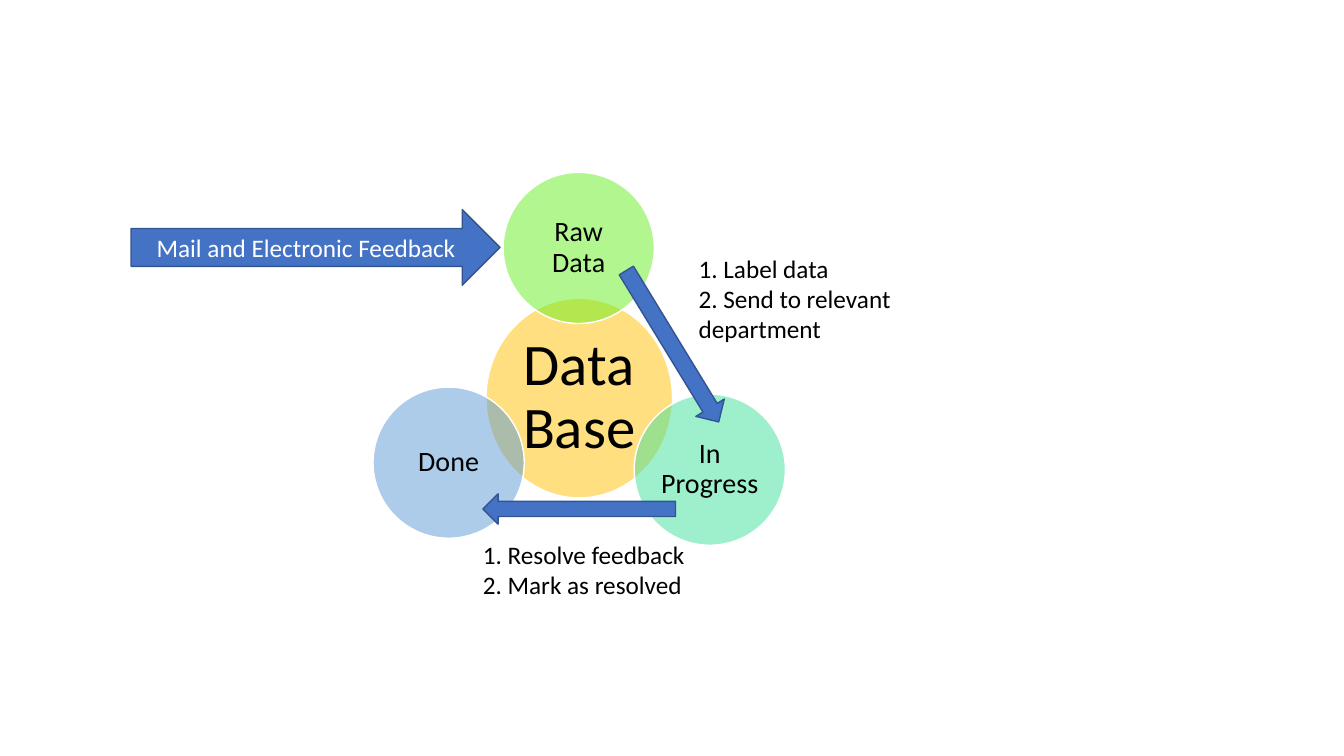
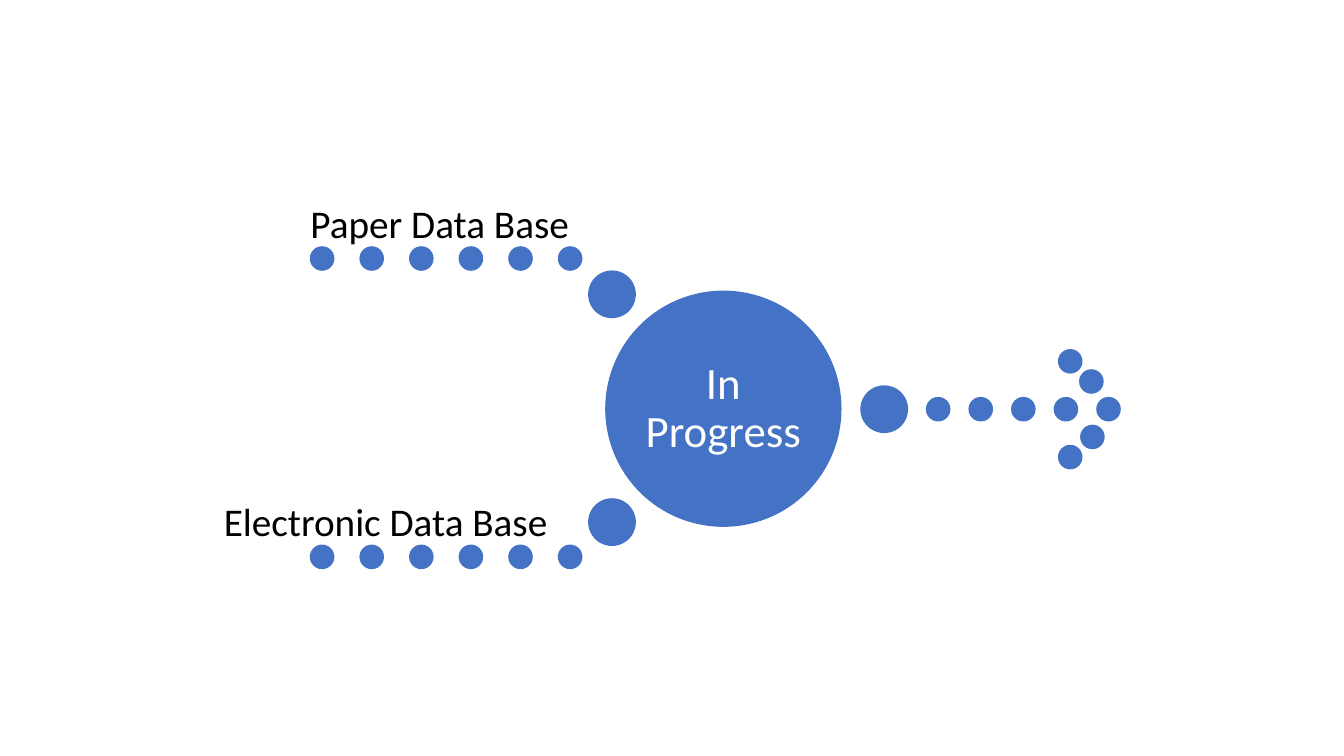
from dataclasses import dataclass
from pptx import Presentation
from pptx.dml.color import RGBColor
from pptx.enum.shapes import MSO_SHAPE as Preset
from pptx.enum.text import MSO_ANCHOR as Anchor, PP_ALIGN as Align
from pptx.oxml import parse_xml
from pptx.oxml.ns import nsdecls
from pptx.util import Inches, Pt


@dataclass(frozen=True)
class Theme:
    font: str = "Calibri"
    blue: str = "4472C4"
    outline: str = "325491"
    white: str = "FFFFFF"
    black: str = "000000"
    amber: str = "FFC000"
    lime: str = "67EF21"
    mint: str = "3FE19B"
    sky: str = "5B9BD5"
    body: int = 18
    state: int = 20
    label: int = 28
    hub: int = 32
    center: int = 42
    tight: float = 0.9


@dataclass(frozen=True)
class Box:
    left: float
    top: float
    width: float
    height: float

    def inner(self, x, y, width, height):
        return Box(self.left + x, self.top + y, width, height)

    def lengths(self):
        return [Inches(n) for n in (self.left, self.top, self.width, self.height)]


THEME = Theme()
DOT = 0.23
JOINT = 0.46


def apply(target, values):
    for name, value in values.items():
        setattr(target, name, value)


def write(shape, lines, size, color, align=Align.CENTER, anchor=Anchor.MIDDLE,
          spacing=None, inset=None):
    frame = shape.text_frame
    apply(frame, {"text": "\n".join(lines), "word_wrap": True, "vertical_anchor": anchor})
    if inset is not None:
        sides = ("left", "top", "right", "bottom")
        apply(frame, {f"margin_{side}": Inches(inset) for side in sides})
    for paragraph in frame.paragraphs:
        apply(paragraph, {"alignment": align, "line_spacing": spacing})
        apply(paragraph.font, {"name": THEME.font, "size": Pt(size)})
        paragraph.font.color.rgb = RGBColor.from_string(color)


def add_figure(slide, preset, box, fill, line, alpha=None, rotation=0):
    shape = slide.shapes.add_shape(preset, *box.lengths())
    apply(shape, {"rotation": rotation})
    shape.shadow.inherit = False
    shape.fill.solid()
    shape.fill.fore_color.rgb = RGBColor.from_string(fill)
    shape.line.color.rgb = RGBColor.from_string(line)
    shape.line.width = Pt(1)
    if alpha:
        color = shape.fill._xPr.solidFill[0]
        color.append(parse_xml(f'<a:alpha {nsdecls("a")} val="{alpha * 1000}"/>'))
    return shape


def add_text(slide, box, lines, size, **layout):
    text_box = slide.shapes.add_textbox(*box.lengths())
    write(text_box, lines, size, THEME.black, align=Align.LEFT, **layout)


def add_dot(slide, box, size=DOT):
    dot = box.inner(0, 0, size, size)
    return add_figure(slide, Preset.OVAL, dot, THEME.blue, THEME.blue)


def draw_states(slide, box):
    states = [
        ("Data Base", 1.12, 1.25, 1.85, 1.98, THEME.amber, THEME.center, 0.06),
        ("Raw Data", 1.29, 0, 1.5, 1.5, THEME.lime, THEME.state, 0.03),
        ("In Progress", 2.59, 2.2, 1.5, 1.5, THEME.mint, THEME.state, 0.03),
        ("Done", 0, 2.13, 1.5, 1.5, THEME.sky, THEME.state, 0.03),
    ]
    for name, x, y, width, height, fill, size, inset in states:
        circle = add_figure(slide, Preset.OVAL, box.inner(x, y, width, height),
                            fill, THEME.white, alpha=50)
        write(circle, [name], size, THEME.black, spacing=THEME.tight, inset=inset)


def draw_transitions(slide, box):
    arrows = [
        (Preset.RIGHT_ARROW, 2.09, 1.56, 1.76, 0.33, 58.6, None),
        (Preset.LEFT_ARROW, 1.09, 3.19, 1.91, 0.3, 0, None),
        (Preset.RIGHT_ARROW, -2.4, 0.37, 3.66, 0.75, 0, "Mail and Electronic Feedback"),
    ]
    for preset, x, y, width, height, rotation, caption in arrows:
        arrow = add_figure(slide, preset, box.inner(x, y, width, height),
                           THEME.blue, THEME.outline, rotation=rotation)
        if caption:
            write(arrow, [caption], THEME.body, THEME.white)
    notes = [
        (0.99, 3.59, 0.71, ["1. Resolve feedback", "2. Mark as resolved"]),
        (3.13, 0.75, 1.01, ["1. Label data", "2. Send to relevant department"]),
    ]
    for x, y, height, lines in notes:
        add_text(slide, box.inner(x, y, 2.69, height), lines, THEME.body, anchor=Anchor.TOP)


def draw_branch(slide, box, joint_y, label, label_x, label_width):
    count = 6
    step = (box.width - DOT) / (count - 1)
    for index in range(count):
        add_dot(slide, box.inner(index * step, 0, DOT, DOT))
    add_dot(slide, box.inner(2.76, joint_y, JOINT, JOINT), JOINT)
    add_text(slide, box.inner(label_x, -0.59, label_width, 0.59), [label], THEME.label,
             anchor=Anchor.BOTTOM, spacing=THEME.tight, inset=0)


def draw_output(slide, box):
    middle = (box.height - DOT) / 2
    add_dot(slide, box.inner(0, (box.height - JOINT) / 2, JOINT, JOINT), JOINT)
    shaft = [(0.65 + index * 0.4225, middle) for index in range(5)]
    head = [(1.96, 0), (2.17, 0.2), (2.18, 0.75), (1.96, 0.95)]
    for x, y in shaft + head:
        add_dot(slide, box.inner(x, y, DOT, DOT))


def build_cycle(slide):
    cycle = Box(3.7, 1.71, 4.09, 3.7)
    draw_states(slide, cycle)
    draw_transitions(slide, cycle)


def build_merge(slide):
    draw_output(slide, Box(8.54, 3.47, 2.57, 1.18))
    hub = add_dot(slide, Box(6.01, 2.89, 2.33, 2.33), 2.33)
    write(hub, ["In Progress"], THEME.hub, THEME.white, spacing=THEME.tight, inset=0.04)
    branches = [
        (2.45, 0.24, "Paper Data Base", 0, 2.7),
        (5.41, -0.46, "Electronic Data Base", -0.86, 4.42),
    ]
    for top, *details in branches:
        draw_branch(slide, Box(3.08, top, 2.69, DOT), *details)


presentation = Presentation()
apply(presentation, {"slide_width": Inches(13.33), "slide_height": Inches(7.5)})
for build in (build_cycle, build_merge):
    build(presentation.slides.add_slide(presentation.slide_layouts[6]))
presentation.save("out.pptx")
